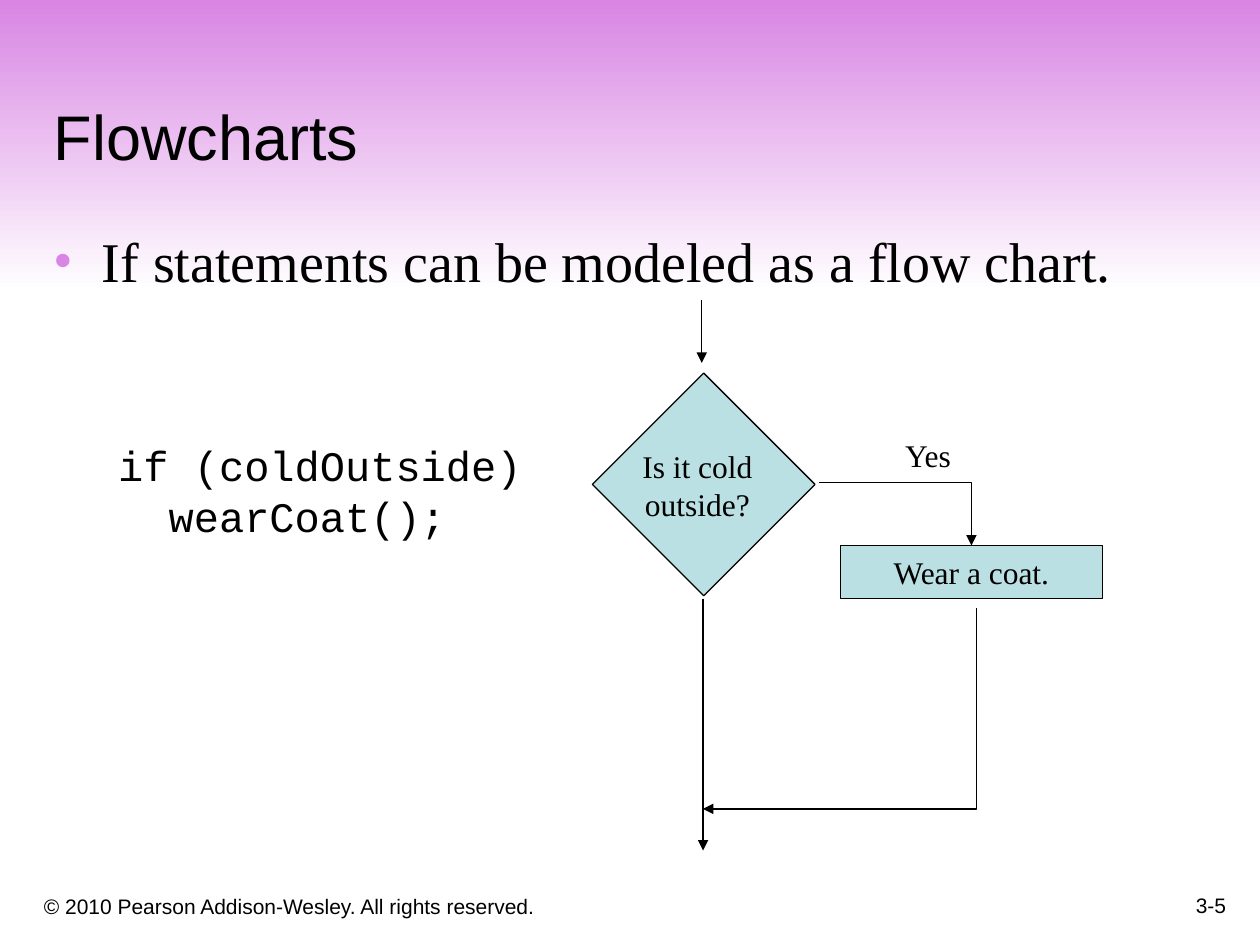
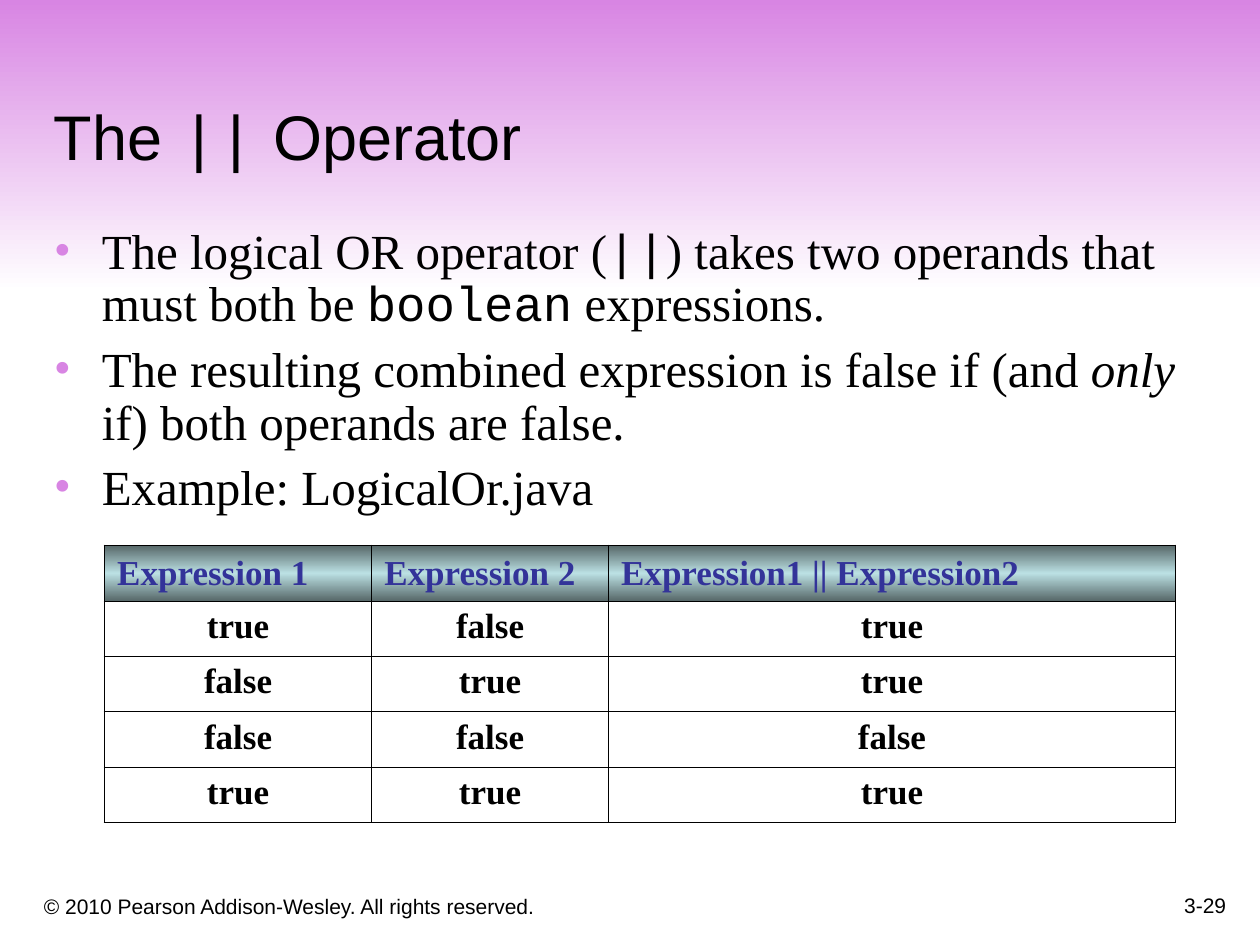
import pptx
import pptx.util
from lxml import etree
from pptx.dml.color import RGBColor
from pptx.enum.shapes import MSO_CONNECTOR, MSO_SHAPE
from pptx.enum.text import MSO_ANCHOR, MSO_AUTO_SIZE, PP_ALIGN
from pptx.oxml.ns import qn
from pptx.util import Inches

ORCHID = RGBColor(0xD8, 0x85, 0xE3)
WHITE = RGBColor(0xFF, 0xFF, 0xFF)
BLACK = RGBColor(0, 0, 0)
PALE_TEAL = RGBColor(0xBB, 0xE0, 0xE3)
DARK_TEAL = RGBColor(0x57, 0x68, 0x69)
INDIGO = RGBColor(0x33, 0x33, 0x99)

SANS = "Arial"
SERIF = "Times New Roman"
MONO = "Courier New"

COPYRIGHT = "© 2010 Pearson Addison-Wesley. All rights reserved."
LINE_WIDTH = 0.75
OUTER_BORDER = 1.08
INNER_BORDER = 0.45


def format_font(font, size, name, color=BLACK, bold=False):
    font.size = pptx.util.Pt(size)
    font.name = name
    font.color.rgb = color
    font.bold = bold


def fill_gradient(fill, properties, colors):
    """Fill from top to bottom with evenly spaced colours."""
    fill.gradient()
    fill.gradient_angle = 270
    stops = properties.find(qn("a:gradFill")).find(qn("a:gsLst"))
    for stop in list(stops):
        stops.remove(stop)
    for index, color in enumerate(colors):
        position = index * 100000 // (len(colors) - 1)
        stop = etree.SubElement(stops, qn("a:gs"), pos=str(position))
        etree.SubElement(stop, qn("a:srgbClr"), val=str(color))


def add_text(slide, box, lines, size, font, align=PP_ALIGN.LEFT,
             anchor=MSO_ANCHOR.TOP, wrap=False):
    """Write lines, each a list of (text, font or "italic" or None) pieces or a plain string."""
    frame = slide.shapes.add_textbox(*map(Inches, box)).text_frame
    frame.word_wrap = wrap
    frame.auto_size = MSO_AUTO_SIZE.NONE if wrap else MSO_AUTO_SIZE.SHAPE_TO_FIT_TEXT
    frame.vertical_anchor = anchor
    for index, line in enumerate(lines):
        paragraph = frame.paragraphs[0] if index == 0 else frame.add_paragraph()
        paragraph.alignment = align
        pieces = [(line, None)] if isinstance(line, str) else line
        for text, style in pieces:
            run = paragraph.add_run()
            run.text = text
            format_font(run.font, size, MONO if style == MONO else font)
            if style == "italic":
                run.font.italic = True
    return frame


def add_bullets(slide, height, lines, size, line_spacing=1.0):
    frame = add_text(slide, (0.33, 1.75, 9.07, height), lines, size, SERIF, wrap=True)
    frame.margin_right = 0
    for index, paragraph in enumerate(frame.paragraphs):
        properties = paragraph._p.get_or_add_pPr()
        properties.set("marL", str(Inches(0.38)))
        properties.set("indent", str(-Inches(0.38)))
        bullet_color = etree.SubElement(properties, qn("a:buClr"))
        etree.SubElement(bullet_color, qn("a:srgbClr"), val=str(ORCHID))
        etree.SubElement(properties, qn("a:buFont"), typeface=SERIF)
        etree.SubElement(properties, qn("a:buChar"), char="•")
        paragraph.line_spacing = line_spacing
        if index:
            paragraph.space_before = pptx.util.Pt(size / 4)


def add_rectangle(slide, box, rotation=0):
    rectangle = slide.shapes.add_shape(MSO_SHAPE.RECTANGLE, *map(Inches, box))
    rectangle.shadow.inherit = False
    rectangle.fill.solid()
    rectangle.fill.fore_color.rgb = PALE_TEAL
    rectangle.line.color.rgb = BLACK
    rectangle.line.width = pptx.util.Pt(LINE_WIDTH)
    rectangle.rotation = rotation
    return rectangle


def add_arrow(slide, start, end, kind=MSO_CONNECTOR.STRAIGHT):
    arrow = slide.shapes.add_connector(kind, *map(Inches, start + end))
    arrow.line.color.rgb = BLACK
    arrow.line.width = pptx.util.Pt(LINE_WIDTH)
    properties = arrow._element.spPr
    etree.SubElement(properties.find(qn("a:ln")), qn("a:tailEnd"), type="triangle")
    etree.SubElement(properties, qn("a:effectLst"))
    return arrow


def add_corner_arrow(slide, start, end):
    """Run sideways first, then turn once towards the end."""
    arrow = add_arrow(slide, start, end, MSO_CONNECTOR.ELBOW)
    arrow._element.spPr.find(qn("a:prstGeom")).set("prst", "bentConnector2")


def add_return_arrow(slide, start, end):
    """Run down first, then sideways to the end."""
    arrow = add_arrow(slide, start, end, MSO_CONNECTOR.ELBOW)
    geometry = arrow._element.spPr.find(qn("a:prstGeom"))
    adjustments = geometry.find(qn("a:avLst"))
    if adjustments is None:
        adjustments = etree.SubElement(geometry, qn("a:avLst"))
    etree.SubElement(adjustments, qn("a:gd"), name="adj1", fmla="val 100")


def set_borders(cell, widths):
    """Set left, right, top and bottom border widths in points."""
    properties = cell._tc.get_or_add_tcPr()
    for side, width in zip(("lnL", "lnR", "lnT", "lnB"), widths):
        border = etree.SubElement(properties, qn("a:" + side), w=str(pptx.util.Pt(width)))
        solid = etree.SubElement(border, qn("a:solidFill"))
        etree.SubElement(solid, qn("a:srgbClr"), val=str(BLACK))


def add_truth_table(slide, rows, column_widths, left, top, row_height):
    last_row, last_column = len(rows) - 1, len(column_widths) - 1
    table = slide.shapes.add_table(
        len(rows), len(column_widths), Inches(left), Inches(top),
        Inches(sum(column_widths)), Inches(row_height * len(rows))).table
    table.first_row = False
    table.horz_banding = False
    for column, width in zip(table.columns, column_widths):
        column.width = Inches(width)
    for r, values in enumerate(rows):
        table.rows[r].height = Inches(row_height)
        for c, value in enumerate(values):
            cell = table.cell(r, c)
            on_edge = (c == 0, c == last_column, r == 0, r == last_row)
            set_borders(cell, [OUTER_BORDER if edge else INNER_BORDER for edge in on_edge])
            paragraph = cell.text_frame.paragraphs[0]
            paragraph.text = value
            if r == 0:
                fill_gradient(cell.fill, cell._tc.tcPr, (DARK_TEAL, PALE_TEAL, DARK_TEAL))
                cell.vertical_anchor = MSO_ANCHOR.MIDDLE
            else:
                cell.fill.background()
                paragraph.alignment = PP_ALIGN.CENTER
            format_font(paragraph.runs[0].font, 20, SERIF, BLACK if r else INDIGO, bold=True)


def add_base_slide(deck, title, page):
    slide = deck.slides.add_slide(deck.slide_layouts[6])
    band = slide.shapes.add_shape(MSO_SHAPE.RECTANGLE, 0, 0, deck.slide_width, Inches(2.32))
    band.shadow.inherit = False
    band.line.fill.background()
    fill_gradient(band.fill, band._element.spPr, (ORCHID, WHITE))
    add_text(slide, (0.25, 6.92, 6.08, 0.42), [COPYRIGHT], 12, SANS,
             anchor=MSO_ANCHOR.BOTTOM, wrap=True)
    add_text(slide, (7.75, 6.83, 2.08, 0.5), [page], 12, SANS, PP_ALIGN.RIGHT,
             MSO_ANCHOR.BOTTOM, wrap=True)
    add_text(slide, (0.33, 0.33, 9.42, 1.09), [title], 36, SANS,
             anchor=MSO_ANCHOR.BOTTOM, wrap=True)
    return slide


def build_flowchart_slide(deck):
    slide = add_base_slide(deck, "Flowcharts", "3-5")
    add_bullets(slide, 1.13, ["If statements can be modeled as a flow chart."], 32)

    add_rectangle(slide, (4.96, 3.22, 1.25, 1.25), rotation=45)
    action = add_rectangle(slide, (6.67, 4.33, 2.08, 0.42)).text_frame
    action.text = "Wear a coat."
    action.word_wrap = True
    action.paragraphs[0].alignment = PP_ALIGN.CENTER
    format_font(action.paragraphs[0].runs[0].font, 18, SERIF)

    add_corner_arrow(slide, (6.5, 3.83), (7.71, 4.33))
    add_arrow(slide, (5.58, 4.75), (5.58, 6.75))
    add_return_arrow(slide, (7.75, 4.83), (5.58, 6.42))
    add_arrow(slide, (5.57, 2.38), (5.57, 2.88))

    add_text(slide, (7.07, 3.41, 0.59, 0.4), ["Yes"], 18, SERIF, PP_ALIGN.CENTER)
    add_text(slide, (4.98, 3.5, 1.11, 0.7), ["Is it cold", "outside?"], 18, SERIF,
             PP_ALIGN.CENTER)
    add_text(slide, (0.84, 3.44, 3.4, 0.9), ["if (coldOutside)", "  wearCoat();"], 24, MONO)


def build_operator_slide(deck):
    title = [("The ", None), ("||", MONO), (" Operator", None)]
    slide = add_base_slide(deck, title, "3-29")
    add_bullets(slide, 2.42, [
        [("The logical OR operator (", None), ("||", MONO),
         (") takes two operands that must both be ", None),
         ("boolean", MONO), (" expressions.", None)],
        [("The resulting combined expression is false if (and ", None),
         ("only", "italic"), (" if) both operands are false.", None)],
        "Example: LogicalOr.java",
    ], 28, line_spacing=0.9)
    add_truth_table(slide, [
        ("Expression 1", "Expression 2", "Expression1 || Expression2"),
        ("true", "false", "true"),
        ("false", "true", "true"),
        ("false", "false", "false"),
        ("true", "true", "true"),
    ], (2.12, 1.88, 4.5), left=0.83, top=4.33, row_height=0.44)


def main():
    deck = pptx.Presentation()
    deck.slide_width = Inches(10)
    deck.slide_height = Inches(7.5)
    build_flowchart_slide(deck)
    build_operator_slide(deck)
    deck.save("out.pptx")


if __name__ == "__main__":
    main()
